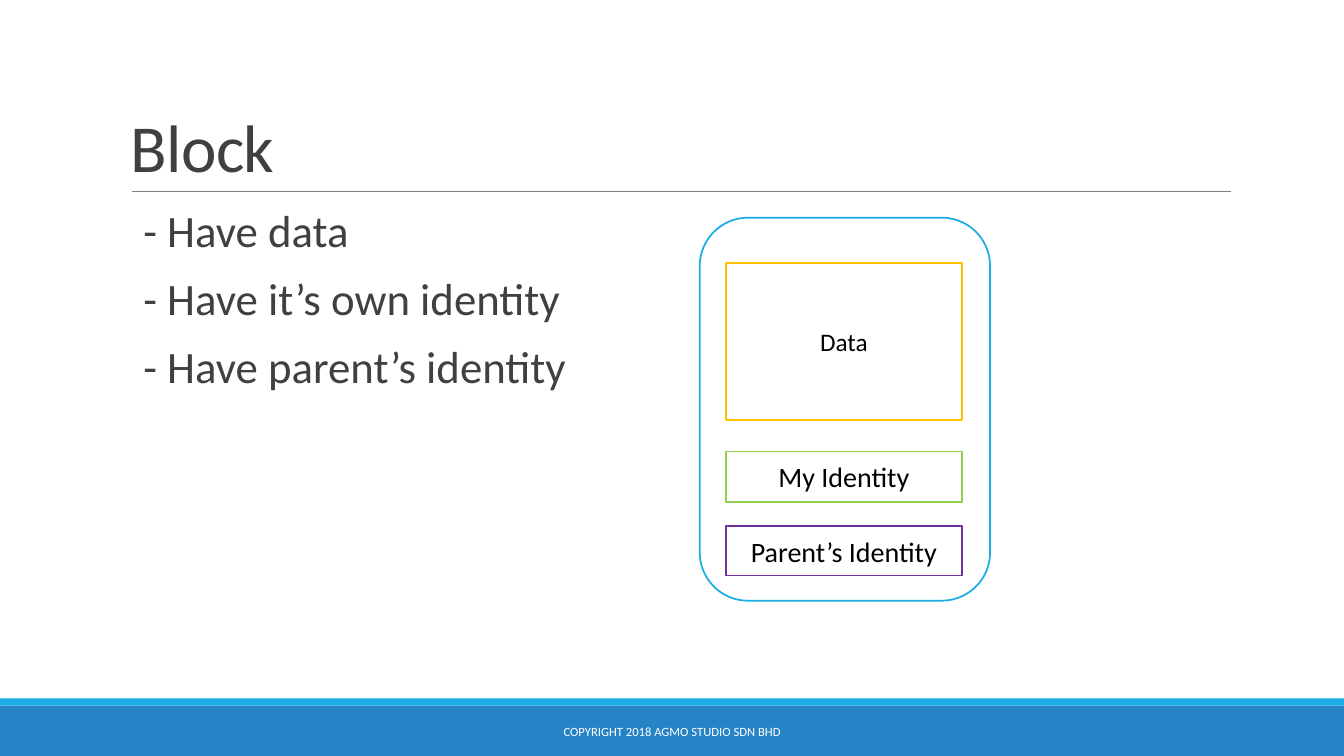
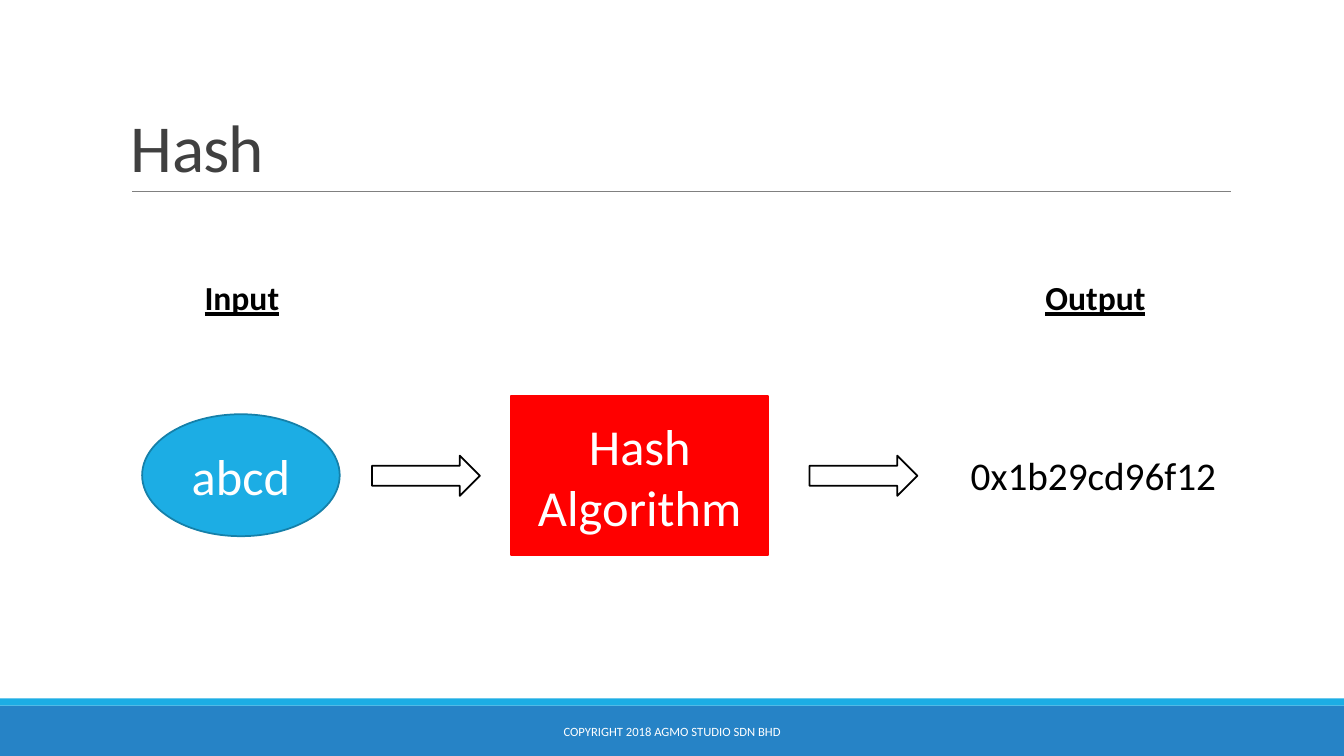
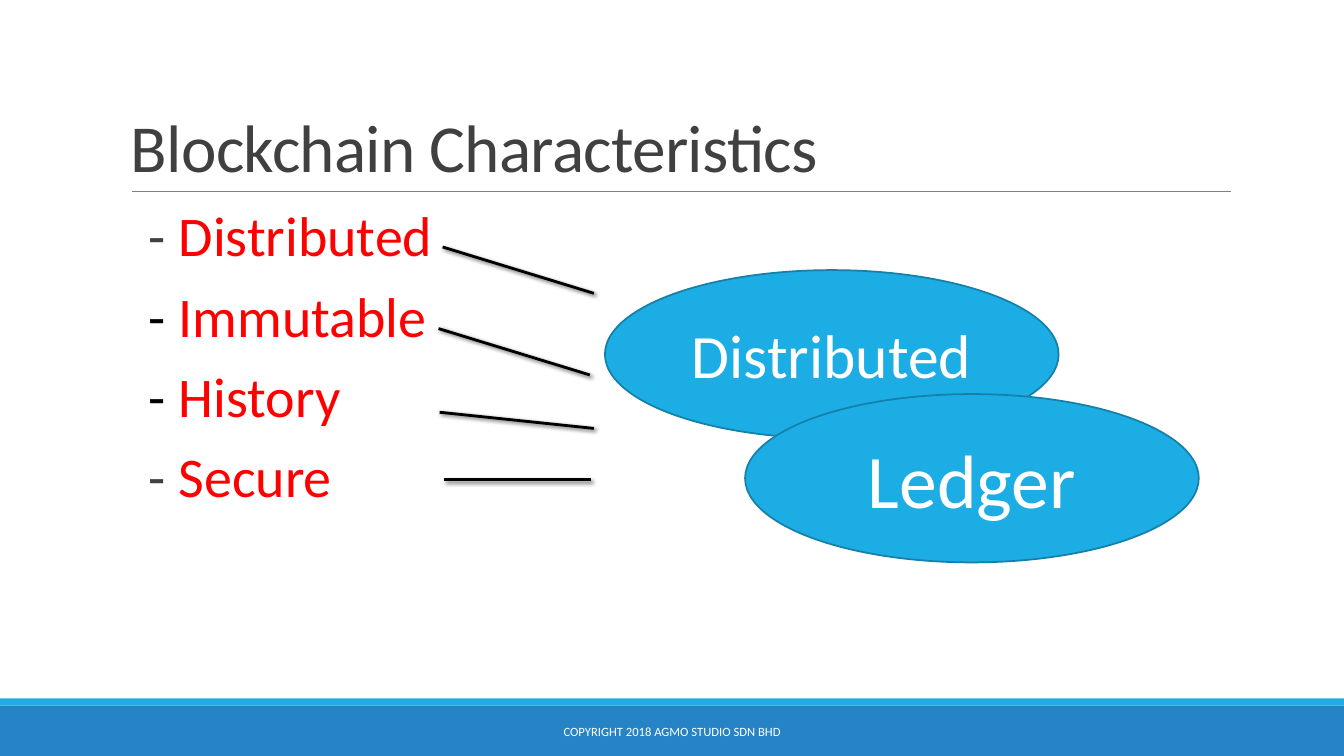
from dataclasses import dataclass
from typing import NamedTuple, Optional

from lxml.etree import SubElement
from pptx import Presentation
from pptx.dml.color import RGBColor
from pptx.enum.shapes import MSO_CONNECTOR, MSO_SHAPE
from pptx.enum.text import MSO_ANCHOR, MSO_AUTO_SIZE, PP_ALIGN
from pptx.oxml.ns import qn
from pptx.shapes.autoshape import Shape
from pptx.slide import Slide
from pptx.util import Inches, Pt

FONT = "Calibri"
BLACK, WHITE, RED = "000000", "FFFFFF", "FF0000"
INK, RULE = "404040", "808080"
SKY, SKY_EDGE, BLUE = "1CADE4", "1580A9", "2683C6"
AMBER, GREEN, PURPLE = "FFC000", "92D050", "7030A0"
COPYRIGHT = "COPYRIGHT 2018 AGMO STUDIO SDN BHD"
SLIDE_WIDTH, SLIDE_HEIGHT = 13.33, 7.5


class Box(NamedTuple):
    left: float
    top: float
    width: float
    height: float


class Run(NamedTuple):
    text: str
    color: str


class Segment(NamedTuple):
    x1: float
    y1: float
    x2: float
    y2: float


@dataclass(frozen=True)
class Node:
    kind: MSO_SHAPE
    box: Box
    fill: Optional[str] = None
    edge: Optional[str] = None
    label: str = ""
    size: float = 18
    color: str = WHITE


def rgb(color: str) -> RGBColor:
    return RGBColor.from_string(color)


def inches(lengths: tuple) -> list:
    return [Inches(length) for length in lengths]


def write(shape: Shape, paragraphs: list[list[Run]], *, size: float,
          align: PP_ALIGN = PP_ALIGN.LEFT, anchor: MSO_ANCHOR = MSO_ANCHOR.TOP,
          wrap: bool = True, bold: bool = False, underline: bool = False,
          line_spacing: Optional[float] = None, tracking: float = 0,
          listed: bool = False) -> None:
    frame = shape.text_frame
    frame.word_wrap = wrap
    frame.vertical_anchor = anchor
    if not wrap:
        frame.auto_size = MSO_AUTO_SIZE.SHAPE_TO_FIT_TEXT
    if listed:
        frame.margin_left = frame.margin_right = 0
    for index, runs in enumerate(paragraphs):
        paragraph = frame.add_paragraph() if index else frame.paragraphs[0]
        if listed:
            indent_as_list(paragraph)
            paragraph.space_before = Pt(12 if index else 0)
            paragraph.space_after = Pt(2)
        paragraph.alignment = align
        if line_spacing:
            paragraph.line_spacing = line_spacing
        for text, color in runs:
            run = paragraph.add_run()
            run.text = text
            font = run.font
            font.name, font.size = FONT, Pt(size)
            font.bold, font.underline = bold, underline
            font.color.rgb = rgb(color)
            if tracking:
                run._r.get_or_add_rPr().set("spc", str(int(tracking * 100)))


def indent_as_list(paragraph) -> None:
    """Hang the paragraph on a blank bullet."""
    properties = paragraph._p.get_or_add_pPr()
    properties.set("marL", str(Inches(0.1)))
    properties.set("indent", str(-Inches(0.1)))
    SubElement(properties, qn("a:buChar")).set("char", " ")


def add_text(slide: Slide, box: Box, paragraphs: list[list[Run]], **style) -> None:
    write(slide.shapes.add_textbox(*inches(box)), paragraphs, **style)


def add_node(slide: Slide, node: Node) -> None:
    shape = slide.shapes.add_shape(node.kind, *inches(node.box))
    shape.shadow.inherit = False
    if node.fill:
        shape.fill.solid()
        shape.fill.fore_color.rgb = rgb(node.fill)
    else:
        shape.fill.background()
    if node.edge:
        shape.line.color.rgb = rgb(node.edge)
        shape.line.width = Pt(1.25)
    else:
        shape.line.fill.background()
    if node.label:
        write(shape, [[Run(node.label, node.color)]], size=node.size,
              align=PP_ALIGN.CENTER, anchor=MSO_ANCHOR.MIDDLE)


def add_line(slide: Slide, segment: Segment, color: str, width: float,
             shadowed: bool = False) -> None:
    line = slide.shapes.add_connector(MSO_CONNECTOR.STRAIGHT, *inches(segment))
    line.line.color.rgb = rgb(color)
    line.line.width = Pt(width)
    effects = SubElement(line._element.spPr, qn("a:effectLst"))
    if shadowed:
        shadow = SubElement(effects, qn("a:outerShdw"), blurRad=str(Pt(3)),
                            dist=str(Pt(2)), dir=str(45 * 60000), rotWithShape="0")
        tint = SubElement(shadow, qn("a:srgbClr"), val=BLACK)
        SubElement(tint, qn("a:alpha"), val="60000")


def add_titled_slide(deck, title: str) -> Slide:
    """Add a slide with the shared bands, rule, title and footer."""
    slide = deck.slides.add_slide(deck.slide_layouts[6])
    add_node(slide, Node(MSO_SHAPE.RECTANGLE, Box(0, 7, SLIDE_WIDTH, 0.5), BLUE))
    add_node(slide, Node(MSO_SHAPE.RECTANGLE, Box(0, 6.93, SLIDE_WIDTH, 0.07), SKY))
    add_line(slide, Segment(1.31, 1.9, 12.21, 1.9), RULE, 0.5)
    add_text(slide, Box(1.2, 0.31, 11, 1.59), [[Run(title, INK)]], size=48,
             anchor=MSO_ANCHOR.BOTTOM, line_spacing=0.85, tracking=-0.5)
    add_text(slide, Box(4.03, 7.06, 5.27, 0.4), [[Run(COPYRIGHT, WHITE)]], size=9,
             align=PP_ALIGN.CENTER, anchor=MSO_ANCHOR.MIDDLE)
    return slide


def add_body(slide: Slide, paragraphs: list[list[Run]], size: float) -> None:
    add_text(slide, Box(1.2, 2.02, 11, 4.4), paragraphs, size=size,
             line_spacing=0.9, listed=True)


def build_block(deck) -> None:
    slide = add_titled_slide(deck, "Block")
    points = ("Have data", "Have it’s own identity", "Have parent’s identity")
    add_body(slide, [[Run(f"- {point}", INK)] for point in points], size=32)
    add_node(slide, Node(MSO_SHAPE.ROUNDED_RECTANGLE, Box(6.94, 2.16, 2.88, 3.8),
                         edge=SKY))
    for label, top, height, fill, edge, size in (
        ("Data", 2.61, 1.56, WHITE, AMBER, 18),
        ("My Identity", 4.48, 0.5, None, GREEN, 20),
        ("Parent’s Identity", 5.22, 0.49, None, PURPLE, 20),
    ):
        add_node(slide, Node(MSO_SHAPE.RECTANGLE, Box(7.2, top, 2.34, height),
                             fill, edge, label, size, BLACK))


def build_hash(deck) -> None:
    slide = add_titled_slide(deck, "Hash")
    add_node(slide, Node(MSO_SHAPE.OVAL, Box(1.41, 4.11, 1.96, 1.21),
                         SKY, SKY_EDGE, "abcd", 36))
    add_node(slide, Node(MSO_SHAPE.RECTANGLE, Box(5.07, 3.93, 2.55, 1.58),
                         RED, RED, "Hash Algorithm", 36))
    for left in (3.69, 8.03):
        add_node(slide, Node(MSO_SHAPE.RIGHT_ARROW, Box(left, 4.52, 1.07, 0.4),
                             WHITE, BLACK))
    add_text(slide, Box(9.53, 4.43, 2.67, 0.57), [[Run("0x1b29cd96f12", BLACK)]],
             size=28, wrap=False)
    for heading, left, width in (("Input", 1.93, 0.95), ("Output", 10.27, 1.21)):
        add_text(slide, Box(left, 2.7, width, 0.5), [[Run(heading, BLACK)]],
                 size=24, wrap=False, bold=True, underline=True)


def build_characteristics(deck) -> None:
    slide = add_titled_slide(deck, "Blockchain Characteristics")
    traits = (("Distributed", INK), ("Immutable", BLACK),
              ("History", BLACK), ("Secure", INK))
    add_body(slide, [[Run("- ", dash_color), Run(trait, RED)]
                     for trait, dash_color in traits], size=40)
    for segment in (
        Segment(4.39, 2.45, 5.89, 2.91),
        Segment(4.35, 3.26, 5.85, 3.72),
        Segment(4.36, 4.09, 5.89, 4.25),
        Segment(4.4, 4.76, 5.86, 4.76),
    ):
        add_line(slide, segment, BLACK, 2, shadowed=True)
    for label, left, top, size in (("Distributed", 6, 2.68, 44),
                                   ("Ledger", 7.39, 3.91, 54)):
        add_node(slide, Node(MSO_SHAPE.OVAL, Box(left, top, 4.5, 1.67),
                             SKY, SKY_EDGE, label, size))


def main() -> None:
    deck = Presentation()
    deck.slide_width, deck.slide_height = inches((SLIDE_WIDTH, SLIDE_HEIGHT))
    for build in (build_block, build_hash, build_characteristics):
        build(deck)
    deck.save("out.pptx")


if __name__ == "__main__":
    main()
